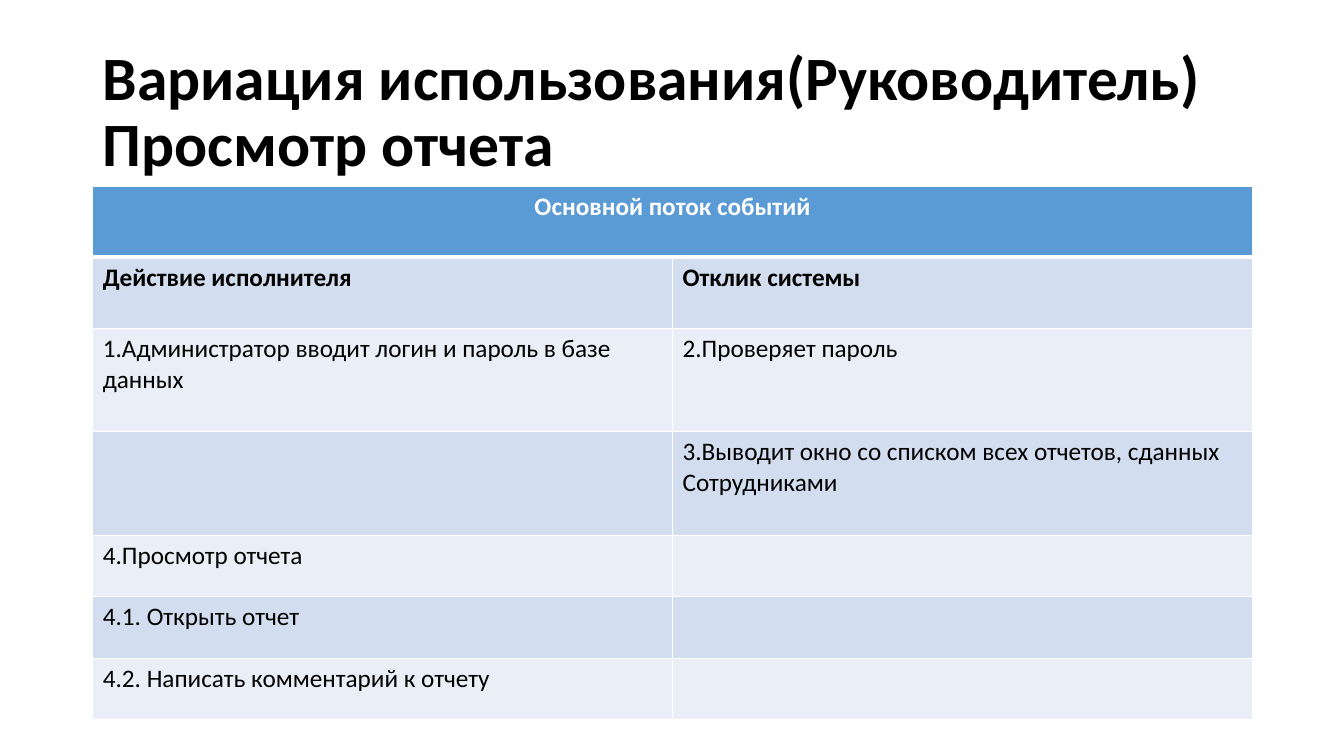
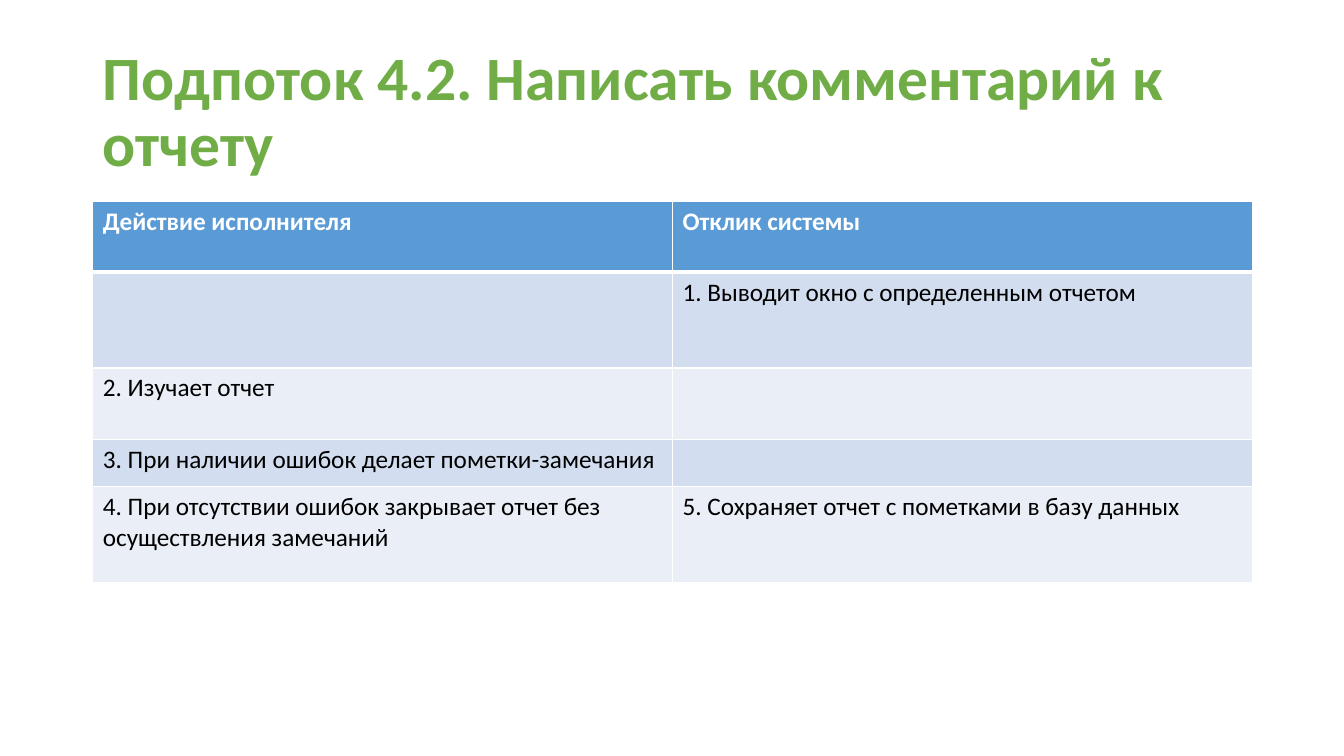
from lxml.etree import SubElement
from pptx import Presentation
from pptx.dml.color import RGBColor
from pptx.enum.text import MSO_ANCHOR, MSO_AUTO_SIZE, PP_ALIGN
from pptx.oxml.ns import qn
from pptx.util import Inches, Pt

HUES = {
    "black": "000000",
    "white": "FFFFFF",
    "green": "70AD47",
    "head": "5B9BD5",
    "dark": "D2DEEF",
    "light": "EAEFF7",
}
FONT = "Calibri"

deck = Presentation()
deck.slide_width = Inches(13.33)
deck.slide_height = Inches(7.5)
LEFT = Inches(0.92)
WIDE = Inches(11.5)
COLS = 2

PAGES = [
    {
        "title": "Вариация использования(Руководитель)\nПросмотр отчета",
        "hue": "black",
        "top": 1.85,
        "bold": 2,
        "rows": [
            (0.7, "Основной поток событий", None),
            (0.71, "Действие исполнителя", "Отклик системы"),
            (1.02, "1.Администратор вводит логин и пароль в базе данных",
             "2.Проверяет пароль"),
            (1.03, "", "3.Выводит окно со списком всех отчетов, сданных Сотрудниками"),
            (0.61, "4.Просмотр отчета", ""),
            (0.61, "4.1. Открыть отчет", ""),
            (0.61, "4.2. Написать комментарий к отчету", ""),
        ],
    },
    {
        "title": "Подпоток 4.2. Написать комментарий к отчету",
        "hue": "green",
        "top": 2,
        "bold": 1,
        "rows": [
            (0.7, "Действие исполнителя", "Отклик системы"),
            (0.95, "", "1. Выводит окно с определенным отчетом"),
            (0.71, "2. Изучает отчет", ""),
            (0.47, "3. При наличии ошибок делает пометки-замечания", ""),
            (0.95, "4. При отсутствии ошибок закрывает отчет без осуществления замечаний",
             "5. Сохраняет отчет с пометками в базу данных"),
        ],
    },
]


def write(frame, text, size=18, hue="black", bold=False, align=PP_ALIGN.LEFT, space=1.0):
    para = frame.paragraphs[0]
    para.text = text
    para.alignment = align
    para.line_spacing = space
    for run in para.runs:
        run.font.name = FONT
        run.font.size = Pt(size)
        run.font.bold = bold
        run.font.color.rgb = RGBColor.from_string(HUES[hue])


def edge(cell, **sides):
    """Draw white cell borders; sides L, R, T, B give widths in points."""
    props = cell._tc.get_or_add_tcPr()
    for side, width in sides.items():
        line = SubElement(props, qn(f"a:ln{side}"), w=str(Pt(width)))
        fill = SubElement(line, qn("a:solidFill"))
        SubElement(fill, qn("a:srgbClr"), val=HUES["white"])


for page in PAGES:
    slide = deck.slides.add_slide(deck.slide_layouts[5])
    title = slide.shapes.title
    title.left, title.top = LEFT, Inches(0.4)
    title.width, title.height = WIDE, Inches(1.45)
    frame = title.text_frame
    frame.word_wrap = True
    frame.auto_size = MSO_AUTO_SIZE.NONE
    frame.vertical_anchor = MSO_ANCHOR.MIDDLE
    write(frame, page["title"], size=44, hue=page["hue"], bold=True, space=0.9)

    rows = page["rows"]
    high = Inches(sum(row[0] for row in rows))
    table = slide.shapes.add_table(
        len(rows), COLS, LEFT, Inches(page["top"]), WIDE, high).table
    for r, (tall, *texts) in enumerate(rows):
        table.rows[r].height = Inches(tall)
        head = r == 0
        tone = "head" if head else ("light", "dark")[r % 2]
        for c, text in enumerate(texts):
            cell = table.cell(r, c)
            edge(cell, L=1, R=1, T=3 if r == 1 else 1, B=3 if head else 1)
            cell.fill.solid()
            cell.fill.fore_color.rgb = RGBColor.from_string(HUES[tone])
            if text:
                write(cell.text_frame, text, bold=r < page["bold"],
                      hue="white" if head else "black",
                      align=PP_ALIGN.CENTER if None in texts else PP_ALIGN.LEFT)
        if None in texts:
            table.cell(r, 0).merge(table.cell(r, COLS - 1))

deck.save("out.pptx")
